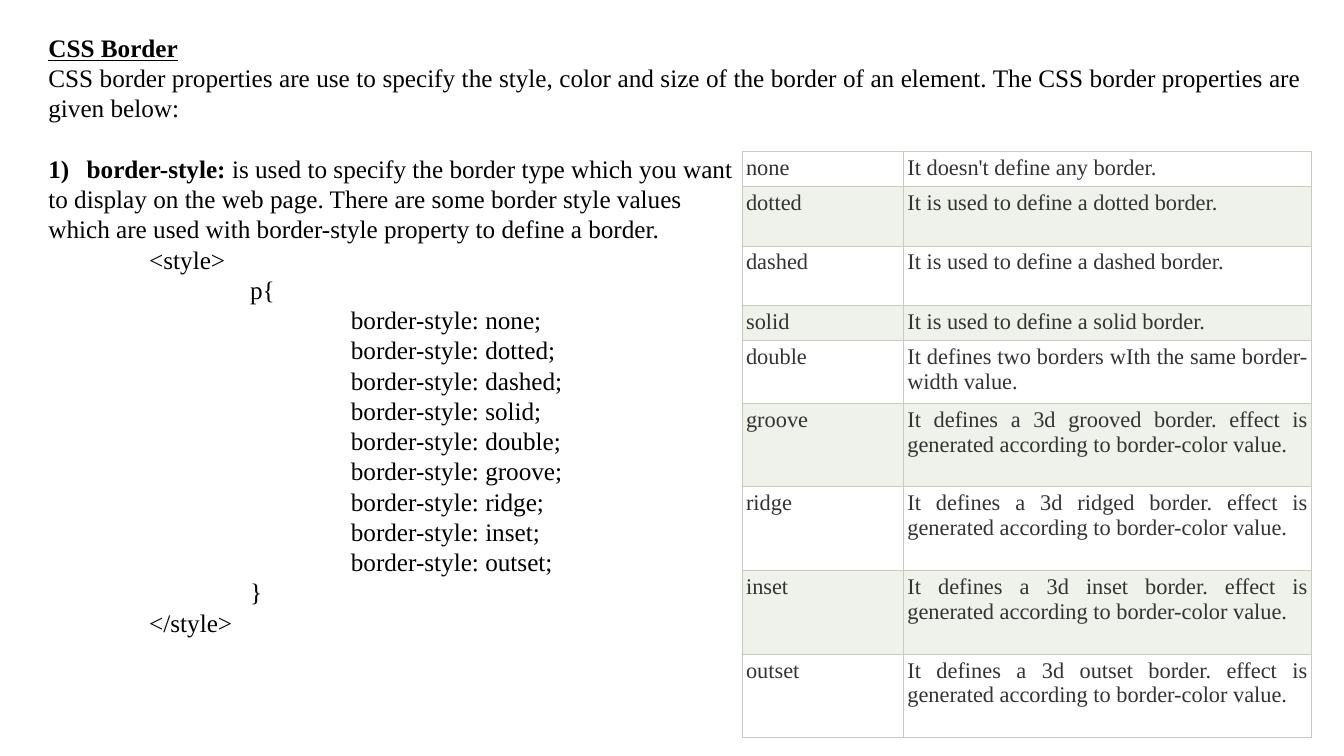
from dataclasses import dataclass

from lxml.etree import SubElement
from pptx import Presentation
from pptx.dml.color import RGBColor as RGB
from pptx.enum.text import MSO_ANCHOR, MSO_AUTO_SIZE, PP_ALIGN
from pptx.oxml.ns import qn
from pptx.util import Inches, Pt

# Content
TITLE = "CSS Border"
INTRO = ("CSS border properties are use to specify the style, color and size of the "
         "border of an element. The CSS border properties are given below:")
PROPERTY = ("border-style: ", "is used to specify the border type which you want")
DETAILS = [
    "to display on the web page. There are some border style values",
    "which are used with border-style property to define a border.",
]
EFFECT = "It defines a 3d {} border. effect is generated according to border-color value."
# Value, meaning, row height in inches
STYLES = [
    ("none", "It doesn't define any border.", 0.35),
    ("dotted", "It is used to define a dotted border.", 0.59),
    ("dashed", "It is used to define a dashed border.", 0.59),
    ("solid", "It is used to define a solid border.", 0.35),
    ("double", "It defines two borders wIth the same border-width value.", 0.62),
    ("groove", EFFECT.format("grooved"), 0.83),
    ("ridge", EFFECT.format("ridged"), 0.83),
    ("inset", EFFECT.format("inset"), 0.83),
    ("outset", EFFECT.format("outset"), 0.83),
]
# Indent level in inches, code
CODE = [
    (1, "<style>"),
    (2, "p{"),
    *[(3, f"border-style: {name};") for name, _, _ in STYLES],
    (2, "}"),
    (1, "</style>"),
]


@dataclass(frozen=True)
class Theme:
    font: str = "Times New Roman"
    text_size: float = 18
    line_pitch: float = 21.6
    table_size: float = 16
    border_width: float = 0.6
    text: RGB = RGB(0, 0, 0)
    table_text: RGB = RGB(0x33, 0x33, 0x33)
    border: str = "C7CCBE"
    bands: tuple = (RGB(0xFF, 0xFF, 0xFF), RGB(0xEF, 0xF1, 0xEB))


THEME = Theme()
LEFT, TOP, WIDTH = 0.38, 0.27, 12.63
LINE = THEME.line_pitch / 72
TABLE_AT = (7.36, 1.5)
COLUMNS = (1.6, 4.05)
CELL_INSET = Inches(0.04)
NUMBER_INDENT = 0.38


def style_span(span, size, color, bold=False, underline=False):
    font = span.font
    font.name, font.size = THEME.font, Pt(size)
    font.bold, font.underline = bold, underline
    font.color.rgb = color


def place(box, top, height):
    box.left, box.top = Inches(LEFT), Inches(top)
    box.width, box.height = Inches(WIDTH), Inches(height)
    frame = box.text_frame
    frame.word_wrap = True
    frame.auto_size = MSO_AUTO_SIZE.NONE
    frame.vertical_anchor = MSO_ANCHOR.TOP
    return frame


def set_paragraph(para, margin=0, hanging=0, number=None):
    para.alignment = PP_ALIGN.JUSTIFY
    para.line_spacing = Pt(THEME.line_pitch)
    para.space_before = para.space_after = Pt(0)
    props = para._p.get_or_add_pPr()
    props.set("marL", str(Inches(margin)))
    props.set("indent", str(-Inches(hanging)))
    if number:
        SubElement(props, qn("a:buFont"), typeface="+mj-lt")
        SubElement(props, qn("a:buAutoNum"), type=number)
    else:
        SubElement(props, qn("a:buNone"))


def set_borders(cell):
    props = cell._tc.get_or_add_tcPr()
    for position, side in enumerate(("lnL", "lnR", "lnT", "lnB")):
        line = SubElement(props, qn(f"a:{side}"), w=str(Pt(THEME.border_width)))
        fill = SubElement(line, qn("a:solidFill"))
        SubElement(fill, qn("a:srgbClr"), val=THEME.border)
        props.insert(position, line)


def add_title(page):
    frame = place(page.shapes.title, TOP, LINE + 0.1)
    frame.text = TITLE
    para = frame.paragraphs[0]
    set_paragraph(para)
    style_span(para.runs[0], THEME.text_size, THEME.text, bold=True, underline=True)


def add_body(page):
    frame = place(page.placeholders[1], TOP + LINE, 6.46 - LINE)
    lines = [(0, INTRO), (0, ""), *[(0, text) for text in DETAILS], *CODE]
    for index, (indent, text) in enumerate(lines):
        para = frame.paragraphs[0] if index == 0 else frame.add_paragraph()
        if text:
            para.text = text
            set_paragraph(para, indent)
            style_span(para.runs[0], THEME.text_size, THEME.text)
        else:
            # Numbered property, one line below the introduction
            set_paragraph(para, NUMBER_INDENT, NUMBER_INDENT, "arabicParenR")
            para.space_before = Pt(THEME.line_pitch)
            for part, bold in zip(PROPERTY, (True, False)):
                span = para.add_run()
                span.text = part
                style_span(span, THEME.text_size, THEME.text, bold)


def add_styles_table(page):
    heights = [height for _, _, height in STYLES]
    sizes = [Inches(n) for n in (*TABLE_AT, sum(COLUMNS), sum(heights))]
    table = page.shapes.add_table(len(STYLES), len(COLUMNS), *sizes).table
    table.first_row = table.horz_banding = False
    for column, width in zip(table.columns, COLUMNS):
        column.width = Inches(width)
    for index, (name, meaning, height) in enumerate(STYLES):
        row = table.rows[index]
        row.height = Inches(height)
        for cell, text in zip(row.cells, (name, meaning)):
            cell.text = text
            cell.margin_left = cell.margin_right = CELL_INSET
            cell.margin_top = cell.margin_bottom = CELL_INSET
            cell.fill.solid()
            cell.fill.fore_color.rgb = THEME.bands[index % 2]
            set_borders(cell)
            para = cell.text_frame.paragraphs[0]
            para.alignment = PP_ALIGN.JUSTIFY
            style_span(para.runs[0], THEME.table_size, THEME.table_text)


def main():
    deck = Presentation()
    deck.slide_width, deck.slide_height = Inches(13.33), Inches(7.5)
    page = deck.slides.add_slide(deck.slide_layouts[1])
    add_title(page)
    add_body(page)
    add_styles_table(page)
    deck.save("out.pptx")


if __name__ == "__main__":
    main()
